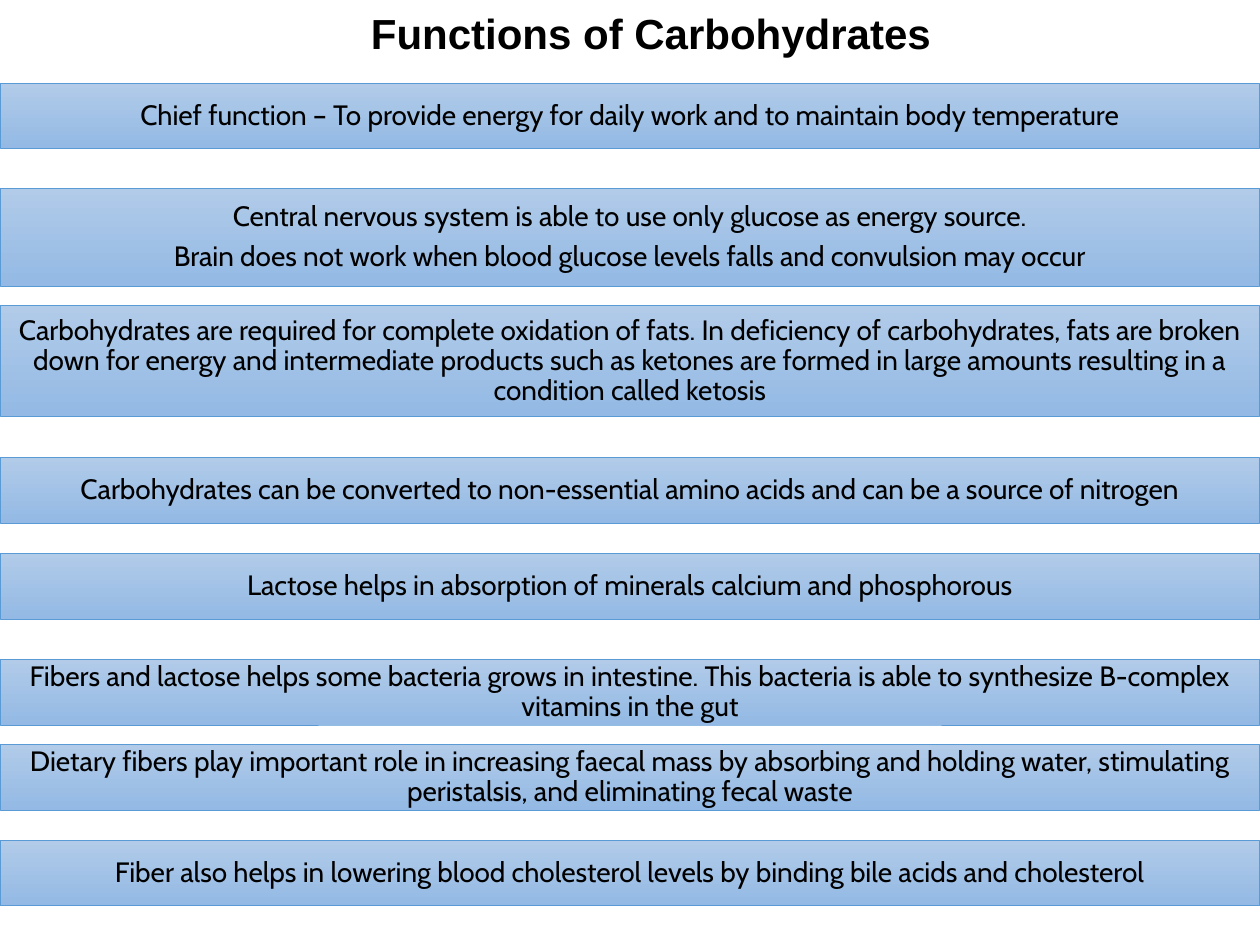
"""Build a slide that lists the functions of carbohydrates in shaded bars."""
from dataclasses import dataclass

from pptx import Presentation
from pptx.dml.color import RGBColor
from pptx.enum import shapes, text
from pptx.util import Pt

WIDTH, HEIGHT = 720, 540


@dataclass
class Bar:
    top: float
    high: float
    lines: list[str]


BARS = [
    Bar(48, 36.8, ["Chief function – To provide energy for daily work and to "
                   "maintain body temperature"]),
    Bar(107.4, 56.2, ["Central nervous system is able to use only glucose as energy source.",
                      "Brain does not work when blood glucose levels falls and "
                      "convulsion may occur"]),
    Bar(174.8, 63.2, ["Carbohydrates are required for complete oxidation of fats. In "
                      "deficiency of carbohydrates, fats are broken down for energy and "
                      "intermediate products such as ketones are formed in large amounts "
                      "resulting in a condition called ketosis"]),
    Bar(261.5, 37.5, ["Carbohydrates can be converted to non-essential amino acids and "
                      "can be a source of nitrogen"]),
    Bar(316.3, 37.5, ["Lactose helps in absorption of minerals calcium and phosphorous"]),
    Bar(376.8, 37.5, ["Fibers and lactose helps some bacteria grows in intestine. This "
                      "bacteria is able to synthesize B-complex vitamins in the gut"]),
    Bar(425.4, 37.5, ["Dietary fibers play important role in increasing faecal mass by "
                      "absorbing and holding water, stimulating peristalsis, and "
                      "eliminating fecal waste"]),
    Bar(480.2, 37.5, ["Fiber also helps in lowering blood cholesterol levels by binding "
                      "bile acids and cholesterol"]),
]


def paint(code: str) -> RGBColor:
    return RGBColor.from_string(code)


def write(shape, lines: list[str], *, font: str, size: float, bold: bool = False,
          color: str = "000000", lead: float = 1.0, after: float = 0,
          inset: float | None = None) -> None:
    frame = shape.text_frame
    frame.word_wrap = True
    frame.auto_size = text.MSO_AUTO_SIZE.NONE
    frame.vertical_anchor = text.MSO_ANCHOR.MIDDLE
    if inset is not None:
        frame.margin_left = frame.margin_right = Pt(inset)
        frame.margin_top = frame.margin_bottom = Pt(inset)
    for index, line in enumerate(lines):
        para = frame.add_paragraph() if index else frame.paragraphs[0]
        para.alignment = text.PP_ALIGN.CENTER
        para.line_spacing = lead
        para.space_after = Pt(after)
        run = para.add_run()
        run.text = line
        run.font.name, run.font.size, run.font.bold = font, Pt(size), bold
        run.font.color.rgb = paint(color)


def draw(slide, bar: Bar) -> None:
    box = slide.shapes.add_shape(shapes.MSO_SHAPE.RECTANGLE, 0, Pt(bar.top),
                                 Pt(WIDTH), Pt(bar.high))
    box.shadow.inherit = False
    box.fill.gradient()
    box.fill.gradient_angle = 270
    for stop, code in zip(box.fill.gradient_stops, ("B1CBE9", "93B9E4")):
        stop.color.rgb = paint(code)
    box.line.color.rgb = paint("5B9BD5")
    box.line.width = Pt(0.5)
    write(box, bar.lines, font="Cabin", size=16, lead=0.9, after=5.6, inset=5)


def main() -> None:
    deck = Presentation()
    deck.slide_width, deck.slide_height = Pt(WIDTH), Pt(HEIGHT)
    slide = deck.slides.add_slide(deck.slide_layouts[5])
    title = slide.shapes.title
    title.left, title.top = Pt(12), Pt(-5.5)
    title.width, title.height = Pt(WIDTH), Pt(48)
    write(title, ["Functions of Carbohydrates"], font="Arial", size=24, bold=True)
    for bar in BARS:
        draw(slide, bar)
    deck.save("out.pptx")


if __name__ == "__main__":
    main()
